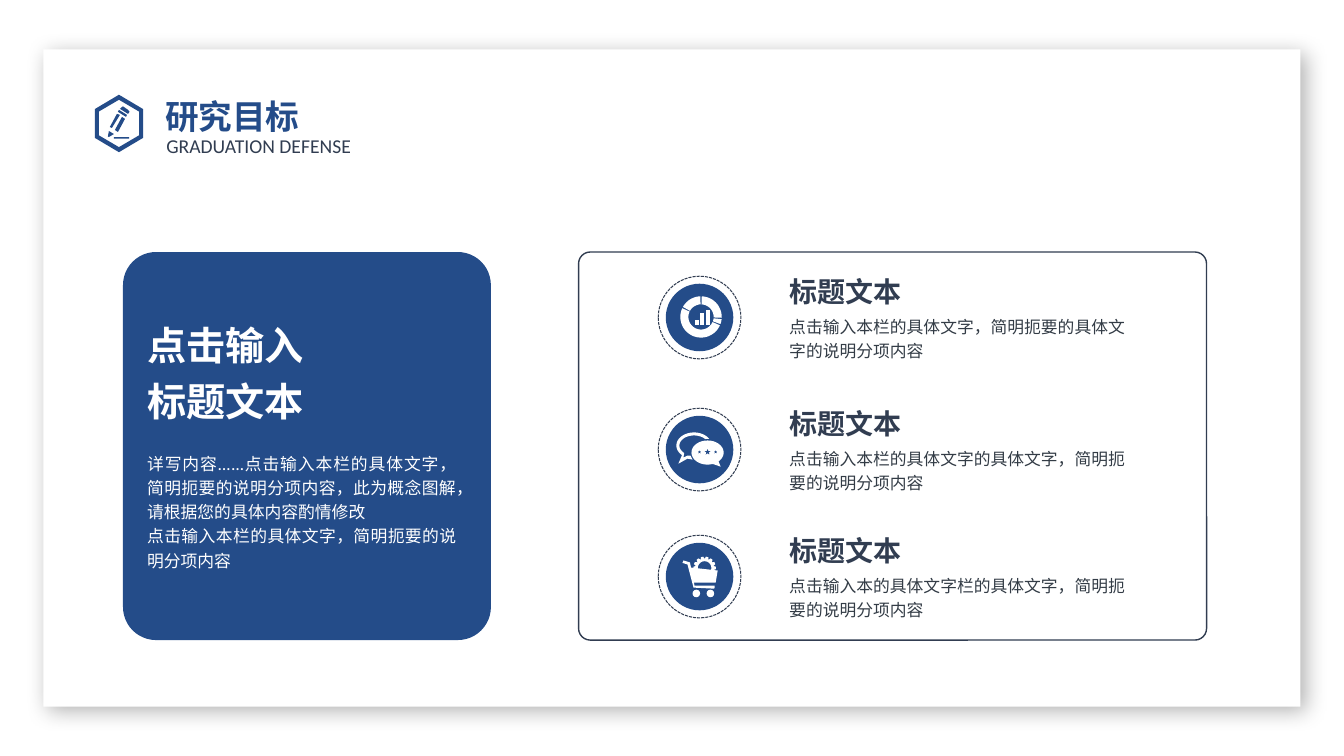
"""Builds the research goals slide on a grid of square cells, 75 rows high."""
import dataclasses
import math
import typing

import lxml.etree
import pptx
import pptx.dml.color
import pptx.enum.dml
import pptx.enum.shapes
import pptx.enum.text
import pptx.oxml.ns
import pptx.util

Point = tuple[float, float]
Contour = list[Point]
Outline = list[Contour]

COLUMNS, ROWS = 133.33, 75
CELL = pptx.util.Inches(7.5) / ROWS
KIND = pptx.enum.shapes.MSO_SHAPE
ALIGN = pptx.enum.text.PP_ALIGN


@dataclasses.dataclass(frozen=True)
class Theme:
    blue: str = "244C89"
    ink: str = "313D51"
    slate: str = "333C46"
    white: str = "FFFFFF"
    cjk: str = "Noto Sans CJK SC"
    base: str = "Lato"
    latin: str = "Calibri"
    card_size: int = 28
    title_size: int = 24
    heading_size: int = 20
    subtitle_size: int = 14
    body_size: int = 12


THEME = Theme()


@dataclasses.dataclass(frozen=True)
class Box:
    left: float
    top: float
    width: float
    height: float


@dataclasses.dataclass(frozen=True)
class Style:
    size: int
    color: str
    bold: bool = False
    font: str = THEME.cjk
    align: ALIGN = ALIGN.LEFT
    spacing: float | pptx.util.Length = 1.2


@dataclasses.dataclass(frozen=True)
class Goal:
    center_row: float
    blurb: str
    outlines: list[Outline]
    dots: list[Box] = dataclasses.field(default_factory=list)


def cells(count: float) -> pptx.util.Emu:
    return pptx.util.Emu(round(count * CELL))


def rgb(color: str) -> pptx.dml.color.RGBColor:
    return pptx.dml.color.RGBColor.from_string(color)


def arc(center: Point, rx: float, ry: float, start: float, end: float, steps: int = 32) -> Contour:
    turns = [math.radians(start + (end - start) * i / steps) for i in range(steps + 1)]
    return [(center[0] + rx * math.cos(t), center[1] + ry * math.sin(t)) for t in turns]


def ring_part(center: Point, outer: float, inner: float, start: float, end: float) -> Contour:
    return arc(center, outer, outer, start, end) + arc(center, inner, inner, end, start)


def rectangle(left: float, top: float, width: float, height: float) -> Contour:
    right, bottom = left + width, top + height
    return [(left, top), (right, top), (right, bottom), (left, bottom)]


def star(center: Point, radius: float) -> Contour:
    tips = arc(center, radius, radius, -90, 270, 5)
    notches = arc(center, radius * 0.4, radius * 0.4, -54, 306, 5)
    return [point for pair in zip(tips[:5], notches) for point in pair]


def gear(center: Point, teeth: int) -> Outline:
    profile = ((-12, 0.92), (-6, 1.13), (6, 1.13), (12, 0.92))
    rim = [arc(center, r, r, 360 * i / teeth + turn, 0, 1)[0]
           for i in range(teeth) for turn, r in profile]
    return [rim, arc(center, 0.67, 0.67, 0, 360)]


def paint(shape: typing.Any, fill: str | None, line: str | None = None,
          weight: float = 1, dashed: bool = False) -> None:
    shape.shadow.inherit = False
    if fill:
        shape.fill.solid()
        shape.fill.fore_color.rgb = rgb(fill)
    else:
        shape.fill.background()
    if not line:
        shape.line.fill.background()
        return
    shape.line.color.rgb = rgb(line)
    shape.line.width = pptx.util.Pt(weight)
    if dashed:
        shape.line.dash_style = pptx.enum.dml.MSO_LINE.SQUARE_DOT


def draw_shape(shapes: typing.Any, kind: KIND, box: Box, fill: str | None,
               line: str | None = None, weight: float = 1, dashed: bool = False,
               rounding: float | None = None) -> typing.Any:
    shape = shapes.add_shape(kind, *map(cells, dataclasses.astuple(box)))
    paint(shape, fill, line, weight, dashed)
    if rounding is not None:
        shape.adjustments[0] = rounding
    return shape


def draw_outline(shapes: typing.Any, center: Point, outline: Outline, fill: str) -> None:
    placed = [[(cells(center[0] + x), cells(center[1] + y)) for x, y in contour]
              for contour in outline]
    builder = shapes.build_freeform(*placed[0][0], scale=1.0)
    for index, contour in enumerate(placed):
        if index:
            builder.move_to(*contour[0])
        builder.add_line_segments(contour[1:], close=True)
    paint(builder.convert_to_shape(), fill)


def write(shapes: typing.Any, box: Box, lines: list[str], style: Style,
          margins: tuple[float, float, float, float] = (0, 0, 0, 0)) -> None:
    frame = shapes.add_textbox(*map(cells, dataclasses.astuple(box))).text_frame
    frame.word_wrap = True
    (frame.margin_left, frame.margin_top,
     frame.margin_right, frame.margin_bottom) = map(cells, margins)
    for index, line in enumerate(lines):
        paragraph = frame.paragraphs[0] if index == 0 else frame.add_paragraph()
        paragraph.alignment = style.align
        paragraph.line_spacing = style.spacing
        run = paragraph.add_run()
        run.text = line
        run.font.size = pptx.util.Pt(style.size)
        run.font.bold = style.bold
        run.font.color.rgb = rgb(style.color)
        run.font.name = style.font
        lxml.etree.SubElement(run.font._element, pptx.oxml.ns.qn("a:ea"), typeface=THEME.base)


def draw_page(shapes: typing.Any) -> None:
    page = draw_shape(shapes, KIND.RECTANGLE, Box(4.3, 4.9, 124.7, 65.2), THEME.white)
    effects = page._element.spPr.find(pptx.oxml.ns.qn("a:effectLst"))
    shadow = lxml.etree.SubElement(
        effects, pptx.oxml.ns.qn("a:outerShdw"), blurRad=str(pptx.util.Pt(15)),
        dist=str(pptx.util.Pt(5)), dir=str(45 * 60000), algn="tl", rotWithShape="0")
    tint = lxml.etree.SubElement(shadow, pptx.oxml.ns.qn("a:srgbClr"), val="000000")
    lxml.etree.SubElement(tint, pptx.oxml.ns.qn("a:alpha"), val="30000")


def draw_goal(shapes: typing.Any, goal: Goal) -> None:
    column, row = 69.4, goal.center_row
    write(shapes, Box(78.3, row - 4.9, 23.6, 3.7), ["标题文本"],
          Style(THEME.heading_size, THEME.ink, bold=True))
    write(shapes, Box(78.3, row - 0.5, 34.3, 4.6), [goal.blurb],
          Style(THEME.body_size, THEME.slate))
    draw_shape(shapes, KIND.OVAL, Box(column - 4.1, row - 4.1, 8.2, 8.2), None,
               THEME.ink, 0.75, dashed=True)
    draw_shape(shapes, KIND.OVAL, Box(column - 3.35, row - 3.35, 6.7, 6.7), THEME.blue)
    for outline in goal.outlines:
        draw_outline(shapes, (column, row), outline, THEME.white)
    for dot in goal.dots:
        placed = dataclasses.replace(dot, left=column + dot.left, top=row + dot.top)
        draw_shape(shapes, KIND.OVAL, placed, THEME.white)


HEXAGON = [arc((0, 0), 2.77, 2.85, -90, 270, 6), arc((0, 0), 2.31, 2.35, -90, 270, 6)]
PENCIL = [
    rectangle(-0.5, 1.35, 1.5, 0.15),
    [(-0.4, 0.65), (0.3, -0.65), (0.6, -0.45), (-0.1, 0.85)],
    [(-0.9, 0.35), (-0.2, -0.95), (0.1, -0.85), (-0.7, 0.45)],
    [(-1.1, 1.3), (-1, 0.75), (-0.5, 1.05), (-1, 1.35)],
    [(0, -1.35), (-0.1, -1.15), (0.7, -0.65), (0.8, -0.85)],
    [(0.2, -1.55), (0.4, -1.7), (0.9, -1.35), (1.05, -1.15), (0.9, -0.95), (0.1, -1.45)],
]
DONUT = [[ring_part((0.15, -0.05), 2.05, 1.25, start, end)]
         for start, end in ((24, 205), (209, 268), (6, 20), (272, 362))]
BARS = [[rectangle(-0.5 + 0.55 * i, 0.7 - height, 0.4, height)]
        for i, height in enumerate((0.5, 1.1, 1.4))]
BACK_BUBBLE = [arc((-0.55, -0.4), 1.75, 1.3, -31, -227)
               + [(-2.1, 1.4), (-1.2, 0.9), (-0.7, 1), (-0.9, 0.6), (-1.2, 0.6), (-1.6, 0.8)]
               + arc((-0.55, -0.4), 1.45, 1, -228, -40)]
FRONT_BUBBLE = [arc((0.8, 0.3), 1.6, 1.2, 71, 407) + [(2.1, 1.7)],
                *(star((x, 0.25), radius) for x, radius in ((0, 0.22), (0.8, 0.36), (1.6, 0.22)))]
CART = [[(1.4, 1.2), (-0.6, 1.1), (-1.2, -1.2), (-1.7, -1.35), (-1.6, -1.6),
         (-0.95, -1.4), (-0.5, 0.9), (1.5, 0.9), (1.5, 1.15)]]
BASKET = [[(-0.9, -0.9), (1.8, -0.6), (1.6, 0.6), (-0.7, 0.6)]]
WHEELS = [Box(left, 1.3, 0.75, 0.75) for left in (-0.7, 0.7)]

GOALS = [
    Goal(31.5, "点击输入本栏的具体文字，简明扼要的具体文字的说明分项内容", DONUT + BARS),
    Goal(44.6, "点击输入本栏的具体文字的具体文字，简明扼要的说明分项内容", [BACK_BUBBLE, FRONT_BUBBLE]),
    Goal(57.2, "点击输入本的具体文字栏的具体文字，简明扼要的说明分项内容",
         [CART, BASKET, gear((0.5, -0.85), 14)], WHEELS),
]


def main() -> None:
    deck = pptx.Presentation()
    deck.slide_width, deck.slide_height = cells(COLUMNS), cells(ROWS)
    shapes = deck.slides.add_slide(deck.slide_layouts[6]).shapes
    draw_page(shapes)
    draw_outline(shapes, (11.8, 12.25), HEXAGON + PENCIL, THEME.blue)
    write(shapes, Box(16.5, 12.4, 21.7, 3.4), ["GRADUATION DEFENSE"],
          Style(THEME.subtitle_size, THEME.ink, font=THEME.latin, spacing=pptx.util.Pt(23)),
          (0, 0, 0, 0.5))
    draw_shape(shapes, KIND.ROUNDED_RECTANGLE, Box(12.2, 25, 36.5, 38.5), THEME.blue, rounding=0.09)
    write(shapes, Box(15.4, 8.2, 39.7, 5), ["研究目标"],
          Style(THEME.title_size, THEME.blue, bold=True, font=THEME.base), (1, 0.5, 1, 0.5))
    write(shapes, Box(14.6, 30.9, 25.1, 11.3), ["点击输入", "标题文本"],
          Style(THEME.card_size, THEME.white, bold=True))
    for goal in GOALS:
        draw_goal(shapes, goal)
    write(shapes, Box(14.6, 44.6, 30.7, 12.1),
          ["详写内容……点击输入本栏的具体文字，简明扼要的说明分项内容，此为概念图解，请根据您的具体内容酌情修改",
           "点击输入本栏的具体文字，简明扼要的说明分项内容"],
          Style(THEME.body_size, THEME.white, align=ALIGN.JUSTIFY))
    draw_shape(shapes, KIND.ROUNDED_RECTANGLE, Box(57.4, 25, 62.3, 38.5), None, THEME.ink, rounding=0.03)
    deck.save("out.pptx")


if __name__ == "__main__":
    main()
